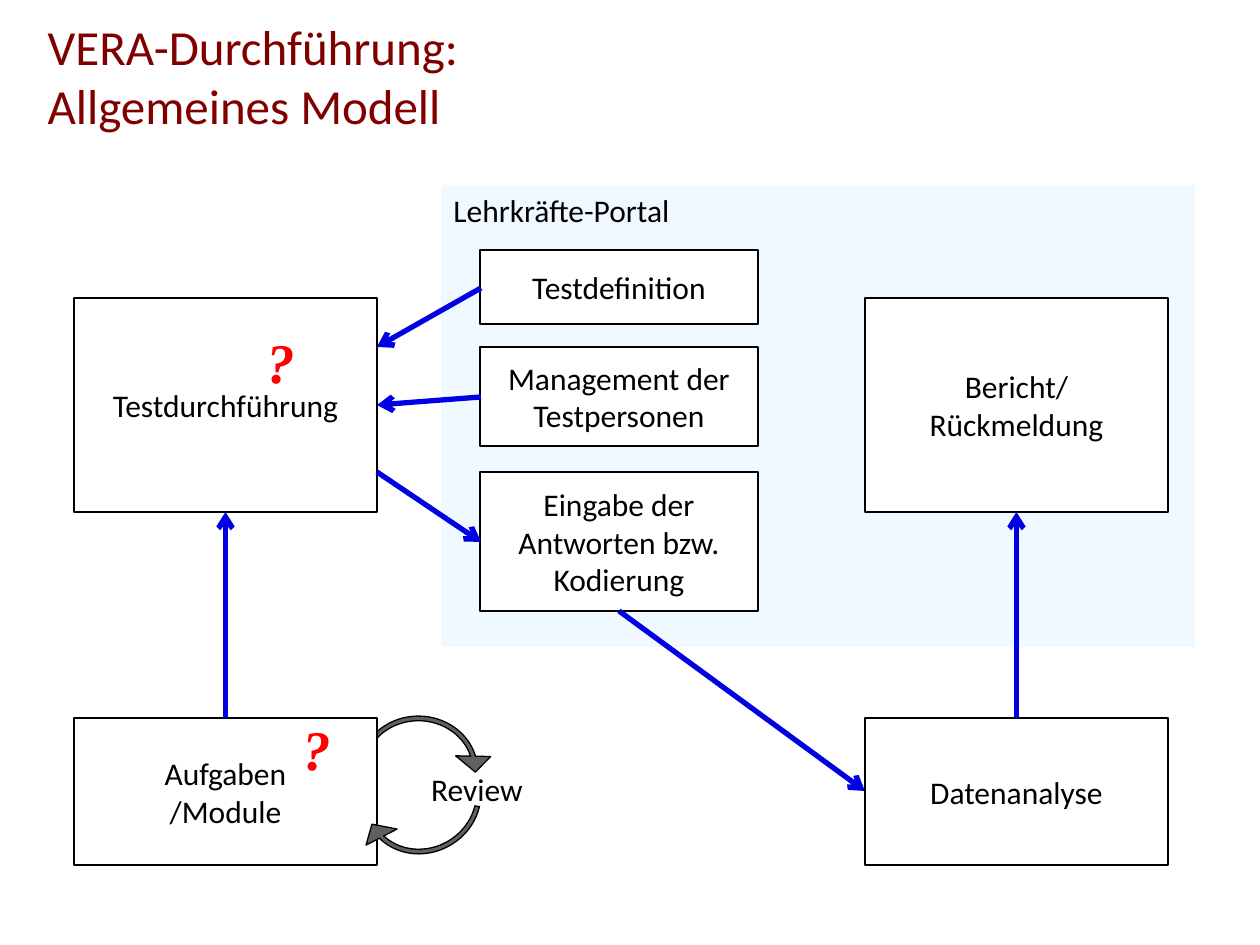
from lxml.etree import SubElement as Sub
from pptx import Presentation
from pptx.dml.color import RGBColor as RGB
from pptx.enum.shapes import MSO_CONNECTOR as Link, MSO_SHAPE as Kind
from pptx.enum.text import MSO_ANCHOR as Anchor, MSO_AUTO_SIZE as Auto, PP_ALIGN as Align
from pptx.oxml.ns import qn
from pptx.util import Pt

PX = 914400 // 126
BLACK = RGB(0, 0, 0)
WHITE = RGB(255, 255, 255)
MAROON = RGB(128, 0, 0)
RED = RGB(255, 0, 0)
BLUE = RGB(0, 0, 0xE2)
PALE = RGB(0xEF, 0xF9, 0xFF)
GREY = RGB(0x60, 0x60, 0x60)

BODY = dict(name="Calibri", size=Pt(18))
HEAD = dict(name="Calibri", size=Pt(28))
MARK = dict(name="Times New Roman", size=Pt(32), bold=True, italic=True)
MID = dict(vertical_anchor=Anchor.MIDDLE, word_wrap=True)
TOP = dict(vertical_anchor=Anchor.TOP, word_wrap=True)
GROW = dict(word_wrap=False, auto_size=Auto.SHAPE_TO_FIT_TEXT)
TURN = (0.033, 9.753, 206.965, 130.313, 0.125)


def emu(*nums):
    """Turn pixels into EMU."""
    return [round(n * PX) for n in nums]


def put(obj, form):
    """Set each attribute named in a format dict."""
    for key, val in form.items():
        setattr(obj, key, val)


def write(shape, text, frame=MID, font=BODY, color=BLACK, align=Align.CENTER):
    """Fill a shape with formatted text."""
    body = shape.text_frame
    body.text = text
    put(body, frame)
    for para in body.paragraphs:
        para.alignment = align
        for run in para.runs:
            put(run.font, font)
            run.font.color.rgb = color


def solid(slide, kind, at, fill, edge=True):
    """Add a filled preset shape."""
    shape = slide.shapes.add_shape(kind, *emu(*at))
    shape.shadow.inherit = False
    shape.fill.solid()
    shape.fill.fore_color.rgb = fill
    if edge:
        shape.line.color.rgb = BLACK
        shape.line.width = Pt(0.75)
    else:
        shape.line.fill.background()
    return shape


def box(slide, text, *at):
    """Add a white process box."""
    write(solid(slide, Kind.RECTANGLE, at, WHITE), text)


def label(slide, text, at, **form):
    """Add a free text label."""
    write(slide.shapes.add_textbox(*emu(*at)), text, **form)


def arrow(slide, *ends):
    """Add a blue arrow."""
    line = slide.shapes.add_connector(Link.STRAIGHT, *emu(*ends))
    line.line.color.rgb = BLUE
    line.line.width = Pt(3)
    props = line.element.spPr
    Sub(props.find(qn("a:ln")), qn("a:tailEnd"), type="arrow")
    Sub(props, qn("a:effectLst"))


def cycle(slide, left, top, angle=0):
    """Add one half of the review cycle."""
    shape = solid(slide, Kind.CIRCULAR_ARROW, (left, top, 149, 140), GREY)
    for i, val in enumerate(TURN):
        shape.adjustments[i] = val
    shape.rotation = angle


def main():
    """Build the slide."""
    deck = Presentation()
    deck.slide_width, deck.slide_height = emu(1260, 945)
    slide = deck.slides.add_slide(deck.slide_layouts[5])

    portal = solid(slide, Kind.RECTANGLE, (441, 185, 754, 462), PALE, False)
    write(portal, "Lehrkräfte-Portal", TOP, align=Align.LEFT)

    title = slide.shapes.title
    place = zip(("left", "top", "width", "height"), emu(35, 6, 983, 139))
    put(title, dict(place))
    write(title, "VERA-Durchführung: \vAllgemeines Modell",
          dict(MID, auto_size=Auto.NONE), HEAD, MAROON, Align.LEFT)

    cycle(slide, 344, 701)
    west, east, wide = 74, 865, 303
    for text, left, top, high in (
            ("Testdurchführung", west, 298, 214),
            ("Bericht/ Rückmeldung", east, 298, 214),
            ("Aufgaben\n/Module", west, 718, 147),
            ("Datenanalyse", east, 718, 147)):
        box(slide, text, left, top, wide, high)
    for text, top, high in (
            ("Testdefinition", 250, 74),
            ("Management der Testpersonen", 347, 99),
            ("Eingabe der Antworten bzw.\nKodierung", 472, 139)):
        box(slide, text, 480, top, 278, high)

    for ends in ((481, 288, 377, 347), (481, 397, 377, 405),
                 (377, 472, 481, 542), (619, 611, 865, 791)):
        arrow(slide, *ends)
    for left in (west, east):
        mid = left + wide / 2
        arrow(slide, mid, 718, mid, 512)

    label(slide, "Review", (382, 764, 190, 49))
    cycle(slide, 348, 728, 151.4)
    for left, top in ((289, 708), (253, 321)):
        label(slide, "?", (left, top, 54, 81), frame=GROW, font=MARK,
              color=RED, align=Align.RIGHT)

    deck.save("out.pptx")


main()
